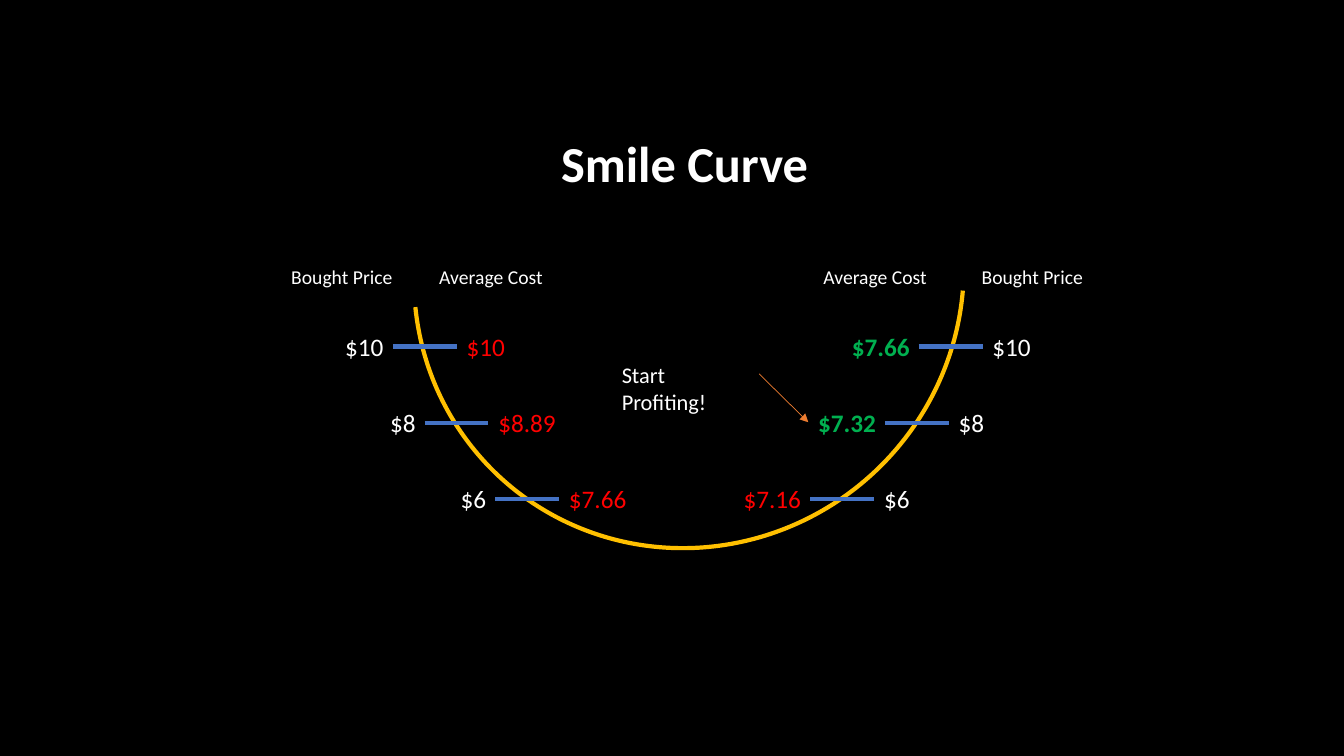
from lxml.etree import SubElement
from pptx import Presentation
from pptx.dml.color import RGBColor
from pptx.enum.shapes import MSO_CONNECTOR, MSO_SHAPE
from pptx.enum.text import MSO_ANCHOR, MSO_AUTO_SIZE, PP_ALIGN
from pptx.oxml.ns import qn
from pptx.util import Cm, Pt

BLACK = RGBColor(0x00, 0x00, 0x00)
WHITE = RGBColor(0xFF, 0xFF, 0xFF)
GOLD = RGBColor(0xFF, 0xC0, 0x00)
BLUE = RGBColor(0x44, 0x72, 0xC4)
ORANGE = RGBColor(0xED, 0x7D, 0x31)
RED = RGBColor(0xFF, 0x00, 0x00)
GREEN = RGBColor(0x00, 0xB0, 0x50)

PRICE_WIDTHS = {2: 1.17, 3: 1.5, 5: 1.98}
PRICE_HEIGHT = 1.02
TICK_LENGTH = 1.61
TICK_OVERLAP = 0.05

HEADINGS = [
    ("Average Cost", 10.82, 3.48),
    ("Bought Price", 7.09, 3.43),
    ("Average Cost", 20.5, 3.3),
    ("Bought Price", 24.49, 3.3),
]
ROW_TOP = 8.73
ROW_STEP = 1.92
PRICE_MARKS = [
    (0, 9.9, ("$10", WHITE), ("$10", RED)),
    (1, 10.7, ("$8", WHITE), ("$8.89", RED)),
    (2, 12.48, ("$6", WHITE), ("$7.66", RED)),
    (2, 20.42, ("$7.16", RED), ("$6", WHITE)),
    (1, 22.3, ("$7.32", GREEN), ("$8", WHITE)),
    (0, 23.15, ("$7.66", GREEN), ("$10", WHITE)),
]


class SlideBuilder:
    font = "Calibri"

    def __init__(self, slide):
        self.slide = slide
        fill = slide.background.fill
        fill.solid()
        fill.fore_color.rgb = BLACK

    def text(self, text, left, top, width, height, size, color=WHITE, bold=False,
             anchor=MSO_ANCHOR.TOP, wrap=True, grow=True, shapes=None):
        shapes = shapes or self.slide.shapes
        shape = shapes.add_textbox(Cm(left), Cm(top), Cm(width), Cm(height))
        frame = shape.text_frame
        frame.word_wrap = wrap
        frame.vertical_anchor = anchor
        frame.auto_size = MSO_AUTO_SIZE.SHAPE_TO_FIT_TEXT if grow else MSO_AUTO_SIZE.NONE
        frame.text = text
        paragraph = frame.paragraphs[0]
        font = paragraph.runs[0].font
        font.name = self.font
        font.size = Pt(size)
        font.bold = bold
        font.color.rgb = color
        return paragraph

    def title(self, text, left, top, width, height):
        paragraph = self.text(text, left, top, width, height, 36, bold=True,
                              anchor=MSO_ANCHOR.MIDDLE, grow=False)
        paragraph.alignment = PP_ALIGN.CENTER
        paragraph.line_spacing = 0.9

    def line(self, start, end, color, width, arrow=False, shapes=None):
        shapes = shapes or self.slide.shapes
        connector = shapes.add_connector(
            MSO_CONNECTOR.STRAIGHT, *(Cm(value) for value in (*start, *end)))
        connector.line.color.rgb = color
        connector.line.width = Pt(width)
        properties = connector.element.spPr
        if arrow:
            SubElement(properties.find(qn("a:ln")), qn("a:tailEnd"), type="triangle")
        SubElement(properties, qn("a:effectLst"))

    def curve(self, left, top, width, height, rotation, start, end):
        shape = self.slide.shapes.add_shape(
            MSO_SHAPE.ARC, Cm(left), Cm(top), Cm(width), Cm(height))
        shape.adjustments[0] = start
        shape.adjustments[1] = end
        shape.rotation = rotation
        shape.shadow.inherit = False
        shape.fill.background()
        shape.line.color.rgb = GOLD
        shape.line.width = Pt(3)

    def price_mark(self, left, middle, left_price, right_price):
        shapes = self.slide.shapes.add_group_shape().shapes
        right = left + TICK_LENGTH
        self.line((left, middle), (right, middle), BLUE, 3, shapes=shapes)
        left_start = left + TICK_OVERLAP - PRICE_WIDTHS[len(left_price[0])]
        for (price, color), start in ((left_price, left_start), (right_price, right)):
            self.text(price, start, middle - PRICE_HEIGHT / 2, PRICE_WIDTHS[len(price)],
                      PRICE_HEIGHT, 18, color, bold=color == GREEN, wrap=False, shapes=shapes)


def main():
    presentation = Presentation()
    presentation.slide_width = Cm(33.87)
    presentation.slide_height = Cm(19.05)
    builder = SlideBuilder(presentation.slides.add_slide(presentation.slide_layouts[6]))

    builder.title("Smile Curve", 12.95, 2.82, 8.61, 2.74)
    builder.curve(10.36, 0.05, 14, 13.69, 136.9, 135.99, 21.67)
    for heading, left, width in HEADINGS:
        builder.text(heading, left, 6.53, width, 0.86, 14, anchor=MSO_ANCHOR.MIDDLE)
    for row, left, left_price, right_price in PRICE_MARKS:
        builder.price_mark(left, ROW_TOP + row * ROW_STEP, left_price, right_price)
    builder.text("Start Profiting!", 15.42, 8.97, 3.71, 0.94, 16)
    builder.line((19.13, 9.42), (20.37, 10.64), ORANGE, 0.5, arrow=True)

    presentation.save("out.pptx")


if __name__ == "__main__":
    main()
